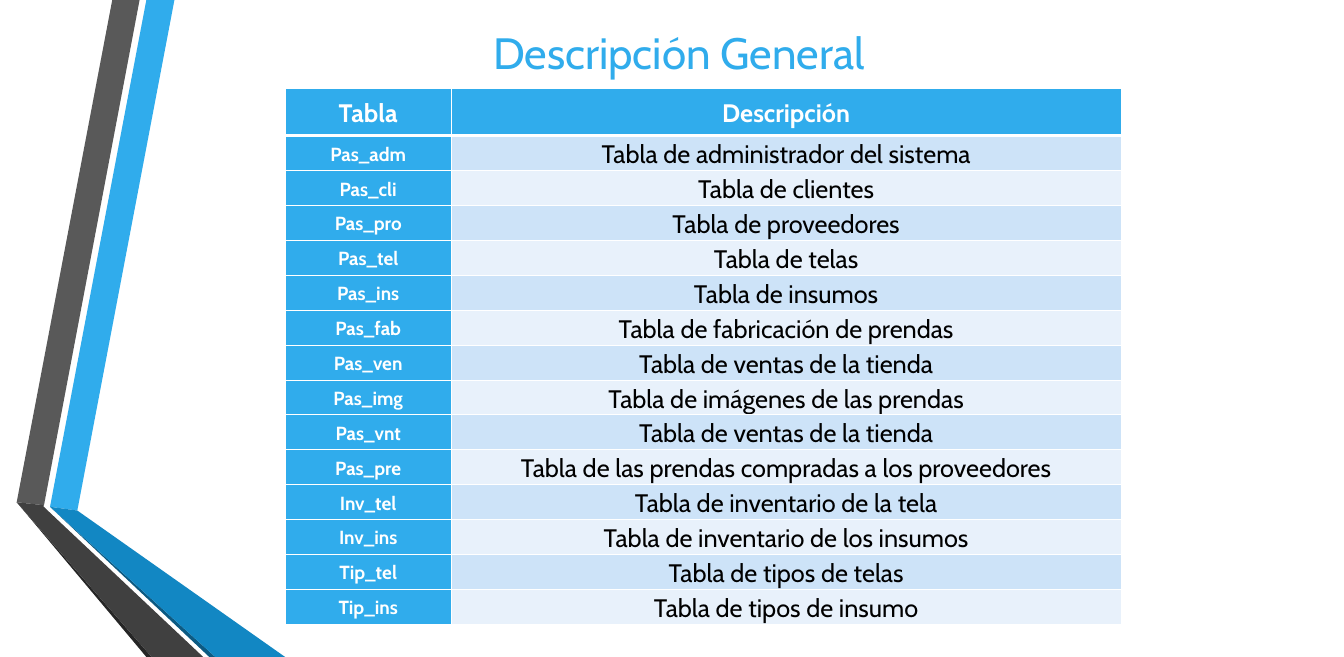
from lxml.etree import SubElement
from pptx import Presentation
from pptx.dml.color import RGBColor
from pptx.enum.text import MSO_ANCHOR, PP_ALIGN
from pptx.oxml import parse_xml
from pptx.oxml.ns import nsdecls, qn
from pptx.util import Inches, Pt

FONT = "Cabin"
COLORS = {
    "white": "FFFFFF", "black": "000000", "blue": "30ACEC",
    "band_dark": "CDE3F8", "band_light": "E8F1FB",
    "gray": "595959", "gray_fold": "404040", "gray_edge": "262626",
    "blue_fold": "1287C3", "blue_edge": "0C5A82",
}
RIBBONS = [
    ("blue", [(0.66, 6.68), (1.02, 6.73), (2.3, 0), (1.93, 0)]),
    ("gray", [(1.84, 0), (1.48, 0), (0.22, 6.62), (0.58, 6.66)]),
    ("gray_edge", [(0.22, 6.62), (1.93, 8.66), (2, 8.66)]),
    ("blue_edge", [(0.66, 6.68), (2.76, 8.66), (2.84, 8.66)]),
    ("blue_fold", [(0.66, 6.68), (2.84, 8.66), (3.76, 8.66), (1.02, 6.73)]),
    ("gray_fold", [(2.68, 8.66), (0.64, 6.74), (0.57, 6.67), (0.58, 6.66),
                   (0.22, 6.62), (2, 8.66)]),
]
HEADER = ("Tabla", "Descripción")
DESCRIPTIONS = [
    ("Pas_adm", "Tabla de administrador del sistema"),
    ("Pas_cli", "Tabla de clientes"),
    ("Pas_pro", "Tabla de proveedores"),
    ("Pas_tel", "Tabla de telas"),
    ("Pas_ins", "Tabla de insumos"),
    ("Pas_fab", "Tabla de fabricación de prendas"),
    ("Pas_ven", "Tabla de ventas de la tienda"),
    ("Pas_img", "Tabla de imágenes de las prendas"),
    ("Pas_vnt", "Tabla de ventas de la tienda"),
    ("Pas_pre", "Tabla de las prendas compradas a los proveedores"),
    ("Inv_tel", "Tabla de inventario de la tela"),
    ("Inv_ins", "Tabla de inventario de los insumos"),
    ("Tip_tel", "Tabla de tipos de telas"),
    ("Tip_ins", "Tabla de tipos de insumo"),
]


def rgb(color):
    return RGBColor.from_string(COLORS[color])


def style_paragraph(paragraph, size, color, bold=False):
    paragraph.alignment = PP_ALIGN.CENTER
    for run in paragraph.runs:
        run.font.name = FONT
        run.font.size = Pt(size)
        run.font.bold = bold
        run.font.color.rgb = rgb(color)


def add_ribbon(slide, color, points):
    corners = [(Inches(x), Inches(y)) for x, y in points]
    builder = slide.shapes.build_freeform(*corners[0])
    builder.add_line_segments(corners[1:], close=True)
    ribbon = builder.convert_to_shape()
    ribbon.shadow.inherit = False
    ribbon.fill.solid()
    ribbon.fill.fore_color.rgb = rgb(color)
    ribbon.line.fill.background()


def add_title(slide, text):
    title = slide.shapes.title
    title.left, title.top = Inches(5.92), Inches(0.35)
    title.width, title.height = Inches(6.06), Inches(0.67)
    frame = title.text_frame
    frame.text = text
    frame.word_wrap = True
    frame.vertical_anchor = MSO_ANCHOR.MIDDLE
    style_paragraph(frame.paragraphs[0], 41.6, "blue")


def set_borders(cell, widths):
    properties = cell._tc.get_or_add_tcPr()
    for position, (side, width) in enumerate(widths.items()):
        border = parse_xml(f'<a:ln{side} {nsdecls("a")} w="{Pt(width)}"/>')
        fill = SubElement(border, qn("a:solidFill"))
        SubElement(fill, qn("a:srgbClr"), val=COLORS["white"])
        properties.insert(position, border)


def fill_cell(cell, text, size, color, background, bold, top=1, bottom=1):
    cell.text_frame.text = text
    cell.vertical_anchor = MSO_ANCHOR.MIDDLE
    cell.margin_left = cell.margin_right = Inches(0.07)
    cell.margin_top = cell.margin_bottom = 0
    paragraph = cell.text_frame.paragraphs[0]
    paragraph.line_spacing = 1.1
    paragraph.space_before, paragraph.space_after = Pt(6), Pt(8)
    style_paragraph(paragraph, size, color, bold)
    cell.fill.solid()
    cell.fill.fore_color.rgb = rgb(background)
    set_borders(cell, {"L": 1, "R": 1, "T": top, "B": bottom})


def add_description_table(slide):
    table = slide.shapes.add_table(
        len(DESCRIPTIONS) + 1, len(HEADER),
        Inches(3.76), Inches(1.16), Inches(11.02), Inches(7.06)).table
    table.horz_banding = False
    table.columns[0].width, table.columns[1].width = Inches(2.19), Inches(8.83)
    table.rows[0].height = Inches(0.63)
    for column, heading in enumerate(HEADER):
        fill_cell(table.cell(0, column), heading, 24, "white", "blue", True, bottom=3)
    for row, (name, description) in enumerate(DESCRIPTIONS, start=1):
        table.rows[row].height = Inches(0.46)
        band = "band_dark" if row % 2 else "band_light"
        top = 3 if row == 1 else 1
        fill_cell(table.cell(row, 0), name, 18, "white", "blue", True, top)
        fill_cell(table.cell(row, 1), description, 24, "black", band, False, top)


def main():
    presentation = Presentation()
    presentation.slide_width = Inches(17.72)
    presentation.slide_height = Inches(8.66)
    slide = presentation.slides.add_slide(presentation.slide_layouts[5])
    slide.background.fill.solid()
    slide.background.fill.fore_color.rgb = rgb("white")
    for color, points in RIBBONS:
        add_ribbon(slide, color, points)
    add_title(slide, "Descripción General")
    add_description_table(slide)
    presentation.save("out.pptx")


if __name__ == "__main__":
    main()
